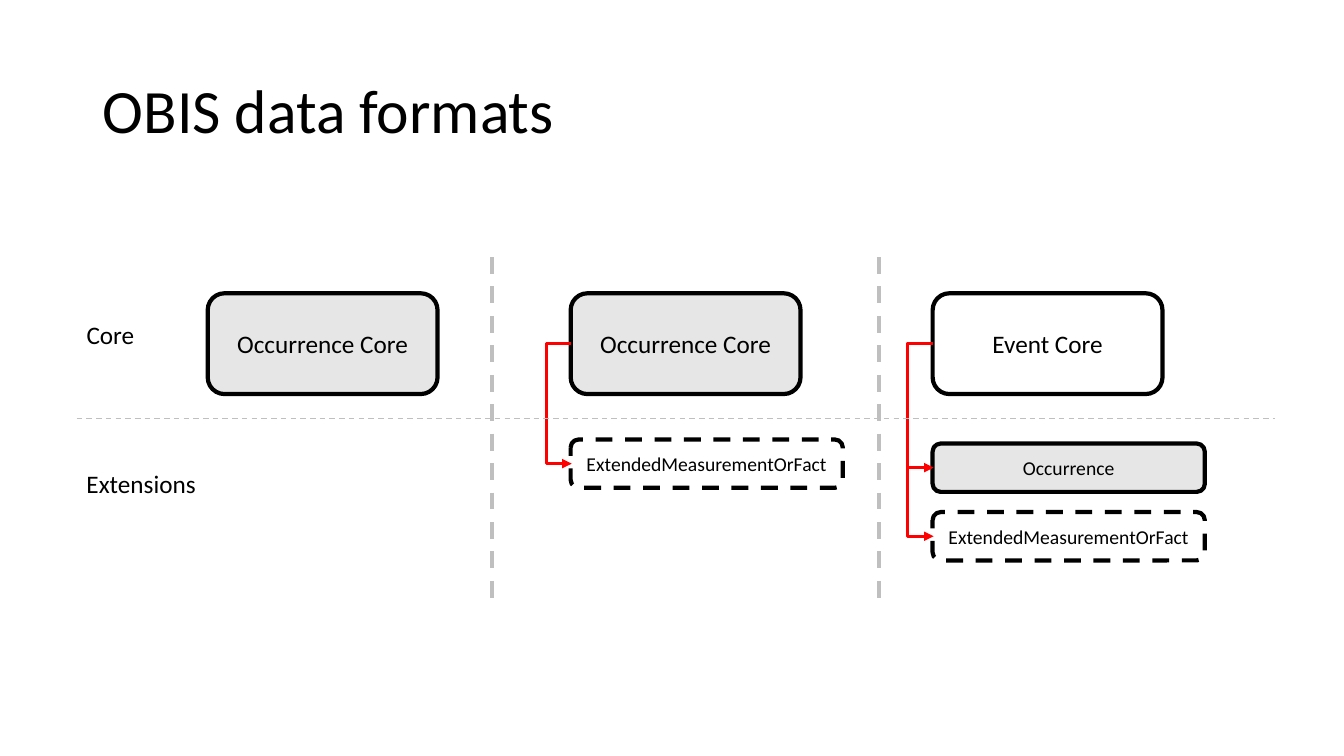
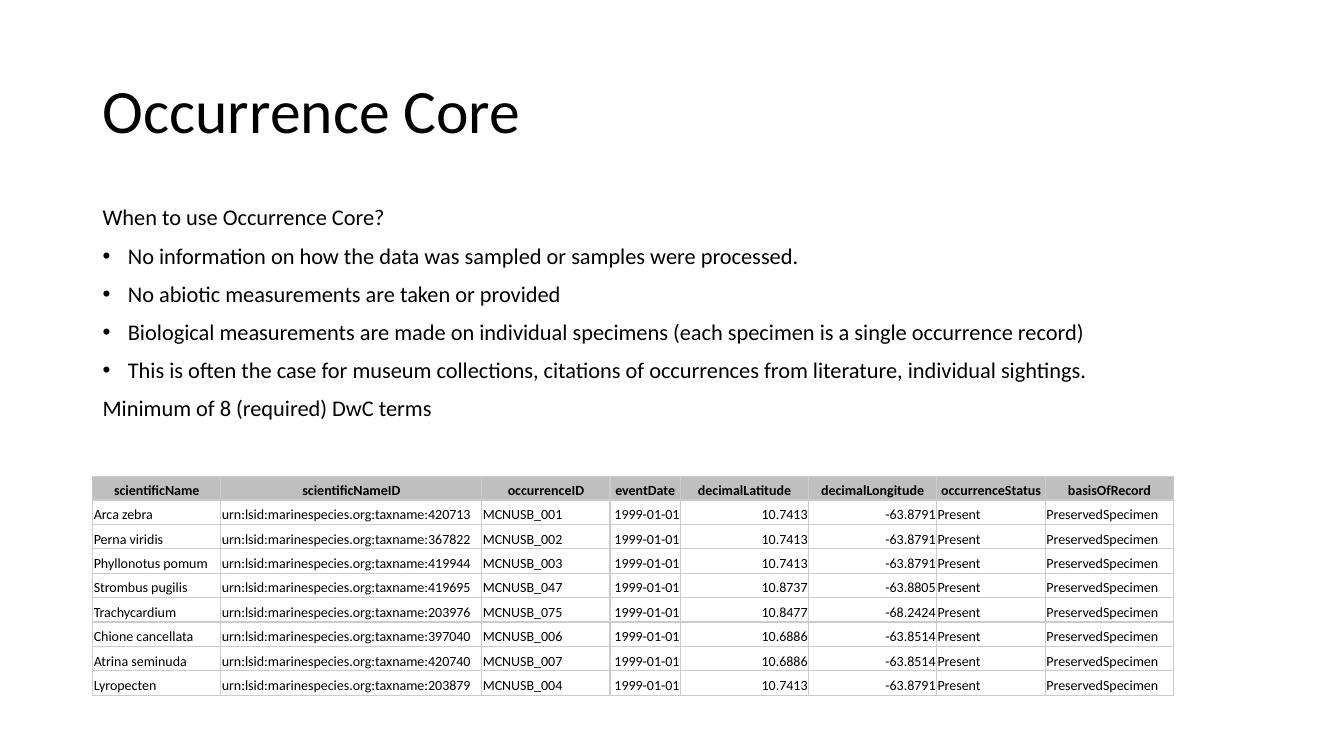
from dataclasses import dataclass
from typing import Any

from lxml import etree
from pptx import Presentation
from pptx.dml.color import RGBColor
from pptx.enum import dml, shapes, text
from pptx.oxml import ns
from pptx.util import Inches, Pt

BLACK = RGBColor(0, 0, 0)
WHITE = RGBColor(255, 255, 255)
PALE = RGBColor(0xE7, 0xE6, 0xE6)
GREY = RGBColor(0xBF, 0xBF, 0xBF)
EDGE = RGBColor(0xCC, 0xCC, 0xCC)
RED = RGBColor(255, 0, 0)
FONT = "Calibri"
DASH = dml.MSO_LINE.DASH
LEFT, MID, RIGHT = text.PP_ALIGN.LEFT, text.PP_ALIGN.CENTER, text.PP_ALIGN.RIGHT
BODY = {"line_spacing": 0.9, "alignment": LEFT}
FRAME = {"word_wrap": True, "auto_size": text.MSO_AUTO_SIZE.NONE}
CELL = {"vertical_anchor": text.MSO_ANCHOR.BOTTOM} | {
    f"margin_{side}": Inches(0.01) for side in ("left", "right", "top", "bottom")}


@dataclass
class Box:
    """A rounded box of the diagram."""
    label: str
    x: float
    y: float
    w: float
    h: float
    size: int
    fill: RGBColor | None = None
    dash: Any = None


@dataclass
class Link:
    """A red elbow from one box to another, by index."""
    start: int
    end: int
    reach: float


@dataclass
class Rule:
    """A dashed dividing line."""
    x1: float
    y1: float
    x2: float
    y2: float
    width: float


@dataclass
class Col:
    """A table column."""
    head: str
    width: float
    align: Any = LEFT


BOXES = [
    Box("Occurrence Core", 2.06, 2.91, 2.28, 1, 18, PALE),
    Box("Occurrence Core", 5.66, 2.91, 2.28, 1, 18, PALE),
    Box("Event Core", 9.25, 2.91, 2.28, 1, 18),
    Box("ExtendedMeasurementOrFact", 5.66, 4.36, 2.7, 0.48, 14, None, DASH),
    Box("ExtendedMeasurementOrFact", 9.25, 5.08, 2.7, 0.48, 14, WHITE, DASH),
    Box("Occurrence", 9.25, 4.4, 2.7, 0.48, 14, PALE),
]
LINKS = [Link(1, 3, 0.24), Link(2, 5, 0.25), Link(2, 4, 0.25)]
RULES = [Rule(0.76, 4.15, 12.65, 4.15, 1)] + [
    Rule(x, 2.55, x, 5.99, 3) for x in (4.88, 8.72)]
TAGS = [("Core", 3.12, 0.68), ("Extensions", 4.6, 1.3)]
POINTS = [
    ("When to use Occurrence Core?", False),
    ("No information on how the data was sampled or samples were processed.", True),
    ("No abiotic measurements are taken or provided", True),
    ("Biological measurements are made on individual specimens "
     "(each specimen is a single occurrence record)", True),
    ("This is often the case for museum collections, citations of occurrences "
     "from literature, individual sightings.", True),
    ("Minimum of 8 (required) DwC terms", False),
]
COLS = [
    Col("scientificName", 1.27), Col("scientificNameID", 2.59),
    Col("occurrenceID", 1.27), Col("eventDate", 0.7, RIGHT),
    Col("decimalLatitude", 1.27, RIGHT), Col("decimalLongitude", 1.27, RIGHT),
    Col("occurrenceStatus", 1.08), Col("basisOfRecord", 1.27),
]
FINDS = [
    ("Arca zebra", 420713, "001", "10.7413", "-63.8791"),
    ("Perna viridis", 367822, "002", "10.7413", "-63.8791"),
    ("Phyllonotus pomum", 419944, "003", "10.7413", "-63.8791"),
    ("Strombus pugilis", 419695, "047", "10.8737", "-63.8805"),
    ("Trachycardium", 203976, "075", "10.8477", "-68.2424"),
    ("Chione cancellata", 397040, "006", "10.6886", "-63.8514"),
    ("Atrina seminuda", 420740, "007", "10.6886", "-63.8514"),
    ("Lyropecten", 203879, "004", "10.7413", "-63.8791"),
]


def style(item: Any, looks: dict[str, Any]) -> None:
    """Set each named attribute."""
    for name, value in looks.items():
        setattr(item, name, value)


def node(parent: Any, tag: str, **attrs: str) -> Any:
    """Add a drawing element."""
    return etree.SubElement(parent, ns.qn(f"a:{tag}"), attrs)


def write(para: Any, words: str, size: int, bold: bool = False, **looks: Any) -> None:
    """Write one run in the deck font."""
    style(para, looks)
    run = para.add_run()
    run.text = words
    style(run.font, {"name": FONT, "size": Pt(size), "bold": bold})
    run.font.color.rgb = BLACK


def paint(item: Any, fill: RGBColor | None) -> None:
    """Fill an item, or leave it clear."""
    if fill is None:
        item.fill.background()
    else:
        item.fill.solid()
        item.fill.fore_color.rgb = fill


def start(deck: Any, words: str) -> Any:
    """Add a slide with its title."""
    slide = deck.slides.add_slide(deck.slide_layouts[5])
    title = slide.shapes.title
    style(title, {"left": Inches(0.92), "top": Inches(0.4),
                  "width": Inches(11.5), "height": Inches(1.45)})
    style(title.text_frame, FRAME | {"vertical_anchor": text.MSO_ANCHOR.MIDDLE})
    write(title.text_frame.paragraphs[0], words, 44, **BODY)
    return slide


def frame(slide: Any, x: float, y: float, w: float, h: float) -> Any:
    """Add a text box and return its frame."""
    area = slide.shapes.add_textbox(Inches(x), Inches(y), Inches(w), Inches(h)).text_frame
    style(area, FRAME)
    return area


def block(slide: Any, box: Box) -> Any:
    """Draw a rounded box."""
    shape = slide.shapes.add_shape(
        shapes.MSO_SHAPE.ROUNDED_RECTANGLE,
        Inches(box.x), Inches(box.y), Inches(box.w), Inches(box.h))
    shape.shadow.inherit = False
    paint(shape, box.fill)
    shape.line.color.rgb = BLACK
    style(shape.line, {"width": Pt(3), "dash_style": box.dash})
    style(shape.text_frame, FRAME | {"vertical_anchor": text.MSO_ANCHOR.MIDDLE})
    write(shape.text_frame.paragraphs[0], box.label, box.size, alignment=MID)
    return shape


def stroke(slide: Any, kind: Any, ends: tuple, hue: RGBColor, width: float,
           dash: Any = None) -> Any:
    """Draw a connector without shadow."""
    line = slide.shapes.add_connector(kind, *(Inches(v) for v in ends))
    line.line.color.rgb = hue
    style(line.line, {"width": Pt(width), "dash_style": dash})
    node(line._element.spPr, "effectLst")
    return line


def join(slide: Any, link: Link, blocks: list) -> None:
    """Join two left sides with an arrow that bends outward."""
    one, two = BOXES[link.start], BOXES[link.end]
    ends = (one.x, one.y + one.h / 2, two.x, two.y + two.h / 2)
    line = stroke(slide, shapes.MSO_CONNECTOR.ELBOW, ends, RED, 2.25)
    line.begin_connect(blocks[link.start], 1)
    line.end_connect(blocks[link.end], 1)
    span = 0.01
    line.width = Inches(span)
    shape = line._element.spPr.find(ns.qn("a:prstGeom"))
    guides = shape.find(ns.qn("a:avLst"))
    if guides is None:
        guides = node(shape, "avLst")
    bend = round(-link.reach / span * 100000)
    node(guides, "gd", name="adj1", fmla=f"val {bend}")
    node(line.line._get_or_add_ln(), "tailEnd", type="triangle")


def border(cell: Any) -> None:
    """Draw thin lines round a cell."""
    props = cell._tc.get_or_add_tcPr()
    for spot, side in enumerate("LRTB"):
        line = node(props, f"ln{side}", w=str(Pt(1)))
        node(node(line, "solidFill"), "srgbClr", val=str(EDGE))
        props.insert(spot, line)


def grid(slide: Any) -> None:
    """Draw the table of records."""
    rows = [[col.head for col in COLS]] + [
        [name, f"urn:lsid:marinespecies.org:taxname:{taxon}", f"MCNUSB_{code}",
         "1999-01-01", lat, lon, "Present", "PreservedSpecimen"]
        for name, taxon, code, lat, lon in FINDS]
    table = slide.shapes.add_table(
        len(rows), len(COLS), Inches(0.92), Inches(4.73), Inches(10.7), Inches(2.17)).table
    table.horz_banding = False
    for col, part in zip(COLS, table.columns):
        part.width = Inches(col.width)
    for r, row in enumerate(rows):
        head = r == 0
        table.rows[r].height = Inches(0.23 if head else (2.17 - 0.23) / len(FINDS))
        for c, words in enumerate(row):
            cell = table.cell(r, c)
            style(cell, CELL)
            paint(cell, GREY if head else None)
            border(cell)
            write(cell.text_frame.paragraphs[0], words, 10, head,
                  alignment=MID if head else COLS[c].align)


def formats(deck: Any) -> None:
    """Build the diagram slide."""
    slide = start(deck, "OBIS data formats")
    blocks = [block(slide, box) for box in BOXES]
    for words, y, w in TAGS:
        area = frame(slide, 0.76, y, w, 0.4)
        area.word_wrap = False
        write(area.paragraphs[0], words, 18)
    for link in LINKS:
        join(slide, link, blocks)
    for rule in RULES:
        stroke(slide, shapes.MSO_CONNECTOR.STRAIGHT,
               (rule.x1, rule.y1, rule.x2, rule.y2), GREY, rule.width, DASH)


def core(deck: Any) -> None:
    """Build the slide of points and records."""
    slide = start(deck, "Occurrence Core")
    area = frame(slide, 0.92, 2, 11.5, 2.5)
    for i, (words, dot) in enumerate(POINTS):
        para = area.add_paragraph() if i else area.paragraphs[0]
        looks = BODY | ({"space_before": Pt(10)} if i else {})
        style(para, looks)
        if dot:
            props = para._p.get_or_add_pPr()
            style_in = {"marL": Inches(0.25), "indent": -Inches(0.25)}
            for name, value in style_in.items():
                props.set(name, str(value))
            node(props, "buFont", typeface="Arial")
            node(props, "buChar", char="•")
        write(para, words, 16)
    grid(slide)


def main() -> None:
    """Build and save the deck."""
    deck = Presentation()
    style(deck, {"slide_width": Inches(13.33), "slide_height": Inches(7.5)})
    formats(deck)
    core(deck)
    deck.save("out.pptx")


if __name__ == "__main__":
    main()
